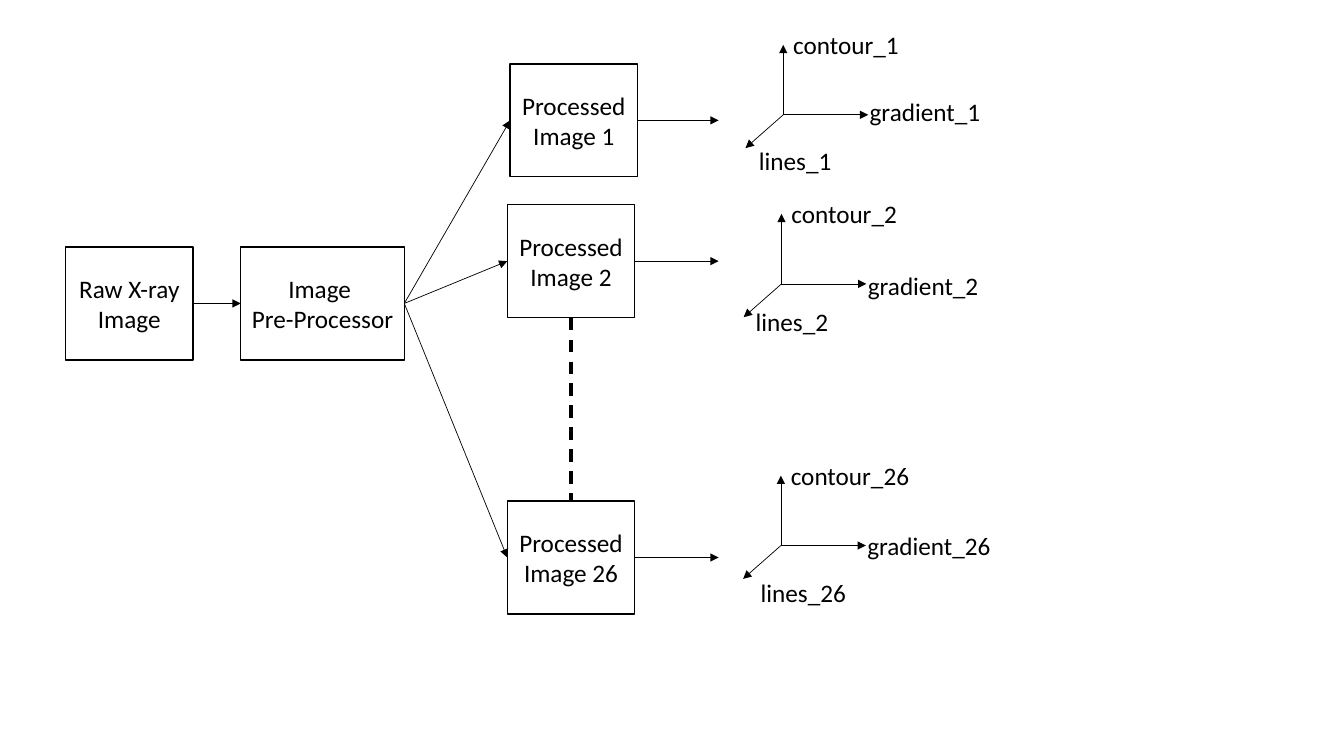
"""Draw the X-ray image processing flow with its feature axes."""
from lxml import etree
from pptx import Presentation
from pptx import util as u
from pptx.dml import color
from pptx.enum import dml, shapes, text
from pptx.oxml import ns

Pt = u.Pt
COLORS = {"ink": "000000", "paper": "FFFFFF"}
FONT = {"name": "Calibri", "size": Pt(18)}
TOP, LEFT, BOTTOM, RIGHT = range(4)


class Diagram:
    """Hold the style and the current slide."""

    def __init__(self, slide):
        self.slide = slide

    def rgb(self, name):
        return color.RGBColor.from_string(COLORS[name])

    def fill_text(self, tf, words, align, **frame):
        for key, value in frame.items():
            setattr(tf, key, value)
        tf.text = words
        for p in tf.paragraphs:
            p.alignment = align
            for r in p.runs:
                for key, value in FONT.items():
                    setattr(r.font, key, value)
                r.font.color.rgb = self.rgb("ink")

    def box(self, words, x, y, w=90.9, h=80.7):
        s = self.slide.shapes.add_shape(
            shapes.MSO_SHAPE.RECTANGLE, Pt(x), Pt(y), Pt(w), Pt(h))
        s.shadow.inherit = False
        s.fill.solid()
        s.fill.fore_color.rgb = self.rgb("paper")
        s.line.color.rgb = self.rgb("ink")
        s.line.width = Pt(1)
        self.fill_text(s.text_frame, words, text.PP_ALIGN.CENTER, word_wrap=True,
                       vertical_anchor=text.MSO_ANCHOR.MIDDLE)
        return s

    def label(self, words, x, y, w):
        s = self.slide.shapes.add_textbox(Pt(x), Pt(y), Pt(w), Pt(29))
        self.fill_text(s.text_frame, words, text.PP_ALIGN.LEFT, word_wrap=False,
                       auto_size=text.MSO_AUTO_SIZE.SHAPE_TO_FIT_TEXT)

    def line(self, start=(0, 0), end=(0, 0), width=0.5, arrow=True):
        s = self.slide.shapes.add_connector(
            shapes.MSO_CONNECTOR.STRAIGHT, *map(Pt, (*start, *end)))
        s.line.color.rgb = self.rgb("ink")
        s.line.width = Pt(width)
        if arrow:
            ln = s.element.spPr.find(ns.qn("a:ln"))
            etree.SubElement(ln, ns.qn("a:tailEnd")).set("type", "triangle")
        else:
            s.line.dash_style = dml.MSO_LINE.DASH
        etree.SubElement(s.element.spPr, ns.qn("a:effectLst"))
        return s

    def link(self, source, target, sites=(RIGHT, LEFT), **style):
        s = self.line(**style)
        s.begin_connect(source, sites[0])
        s.end_connect(target, sites[1])

    def axes(self, number, x, y, gradient_dy, lines_offset):
        for dx, dy in ((0, -50), (60.7, 0), (-27, 23.8)):
            self.line((x, y), (x + dx, y + dy))
        extra = 9.3 * (len(str(number)) - 1)
        lines_dx, lines_dy = lines_offset
        for name, dx, dy, w in (("contour", 0, -64.6, 90.7),
                                ("gradient", 54.6, gradient_dy, 94.3),
                                ("lines", lines_dx, lines_dy, 67)):
            self.label(f"{name}_{number}", x + dx, y + dy, w + extra)


prs = Presentation()
prs.slide_width, prs.slide_height = Pt(960), Pt(540)
d = Diagram(prs.slides.add_slide(prs.slide_layouts[6]))

raw = d.box("Raw X-ray Image", 46.9, 176.4)
processor = d.box("Image \nPre-Processor", 172, 176.4, 116.8)
d.link(raw, processor)

ROWS = (
    (1, 364.4, 45.6, (559.5, 82), -16.4, (-24.5, 18.2)),
    (2, 362.4, 146.2, (558.2, 202.8), -13.6, (-25.5, 12.3)),
    (26, 362.4, 357.9, (557.8, 389.7), -14.5, (-21.5, 19.3)),
)
processed = []
for number, x, y, origin, gradient_dy, lines_offset in ROWS:
    image = d.box(f"Processed Image {number}", x, y)
    processed.append(image)
    d.link(processor, image)
    middle = y + image.height.pt / 2
    d.line((x + image.width.pt, middle), (513.3, middle))
    d.axes(number, *origin, gradient_dy, lines_offset)
d.link(*processed[1:], sites=(BOTTOM, TOP), width=2.25, arrow=False)

prs.save("out.pptx")
